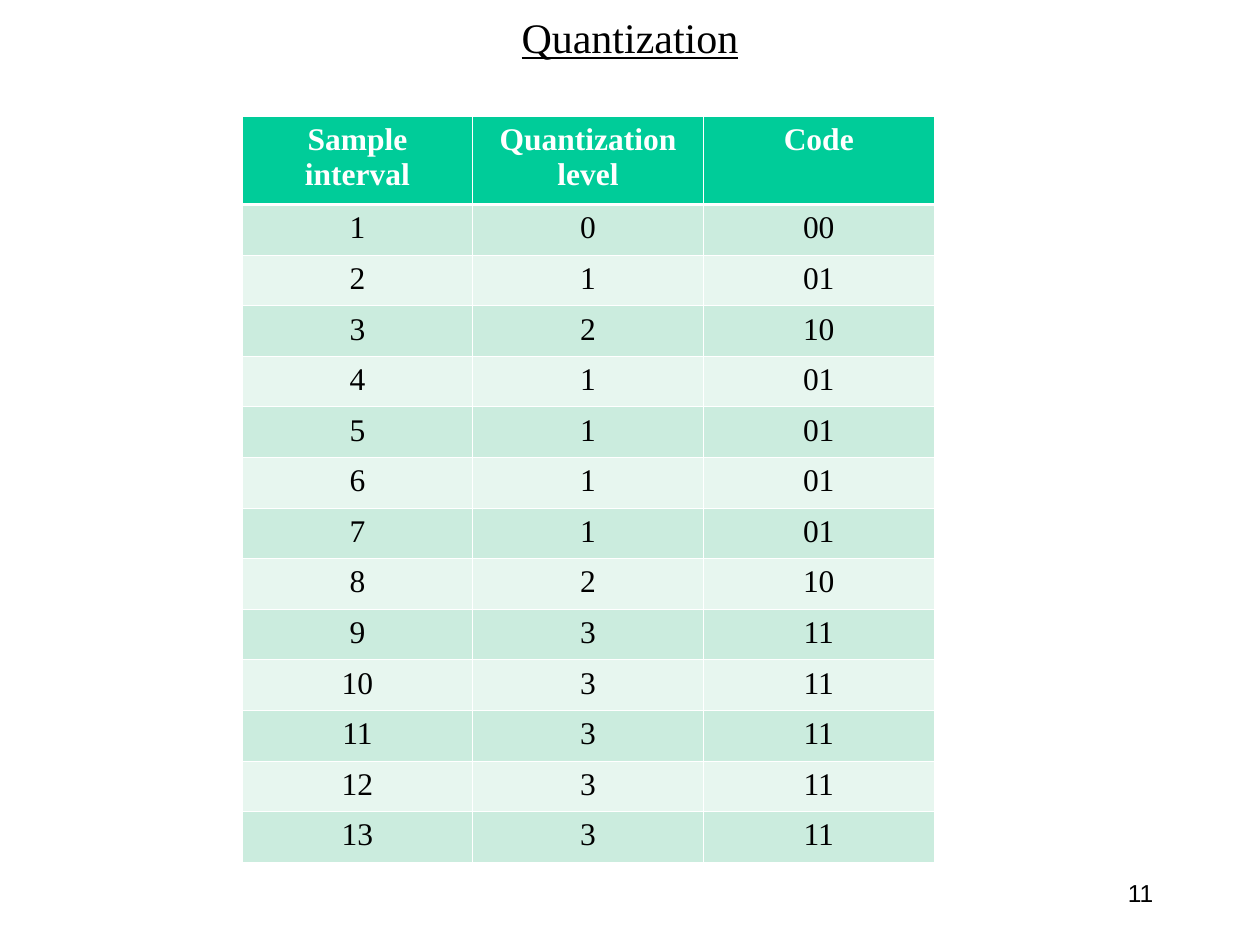
"""Build the quantization table slide."""
from lxml import etree
from pptx import Presentation
from pptx.dml.color import RGBColor
from pptx.enum.text import MSO_ANCHOR, PP_ALIGN
from pptx.oxml.ns import qn
from pptx.util import Cm, Pt

MID = PP_ALIGN.CENTER
RIGHT = PP_ALIGN.RIGHT
MIDDLE = MSO_ANCHOR.MIDDLE
TOP = MSO_ANCHOR.TOP
SERIF = "Times New Roman"


def tint(code):
    return RGBColor.from_string(code)


def style(frame, text, size, face, align, color="000000"):
    frame.text = text
    line = frame.paragraphs[0]
    line.alignment = align
    font = line.runs[0].font
    font.size = Pt(size)
    font.name = face
    font.color.rgb = tint(color)
    return font


deck = Presentation()
deck.slide_width = Cm(25.4)
deck.slide_height = Cm(19.05)
slide = deck.slides.add_slide(deck.slide_layouts[6])

title = slide.shapes.add_textbox(Cm(1.9), Cm(0.1), Cm(21.6), Cm(1.27)).text_frame
title.word_wrap = True
title.vertical_anchor = MIDDLE
style(title, "Quantization", 24, SERIF, MID).underline = True

levels = [0, 1, 2, 1, 1, 1, 1, 2, 3, 3, 3, 3, 3]
rows = [("Sample interval", "Quantization level", "Code")]
for step, level in enumerate(levels, 1):
    rows.append((str(step), str(level), f"{level:02b}"))

high = [1.78] + [1.02] * len(levels)
wide = 4.65
table = slide.shapes.add_table(
    len(rows), 3, Cm(4.88), Cm(2.34), Cm(3 * wide), Cm(sum(high))
).table
for col in table.columns:
    col.width = Cm(wide)

for r, row in enumerate(rows):
    table.rows[r].height = Cm(high[r])
    head = r == 0
    fill = "00CC99" if head else ("E7F6EF", "CBECDE")[r % 2]
    for c, text in enumerate(row):
        cell = table.cell(r, c)
        cell.vertical_anchor = TOP
        color = "FFFFFF" if head else "000000"
        style(cell.text_frame, text, 18, SERIF, MID, color).bold = head
        props = cell._tc.get_or_add_tcPr()
        for side in ("lnL", "lnR", "lnT", "lnB"):
            thick = (side, r) in (("lnB", 0), ("lnT", 1))
            width = Pt(1.5 if thick else 0.45)
            edge = etree.SubElement(props, qn(f"a:{side}"), w=str(width))
            solid = etree.SubElement(edge, qn("a:solidFill"))
            etree.SubElement(solid, qn("a:srgbClr"), val="FFFFFF")
        cell.fill.solid()
        cell.fill.fore_color.rgb = tint(fill)

number = slide.shapes.add_textbox(Cm(18.2), Cm(17.58), Cm(5.3), Cm(1.27)).text_frame
number.word_wrap = True
style(number, "11", 14, "Arial", RIGHT)

deck.save("out.pptx")
